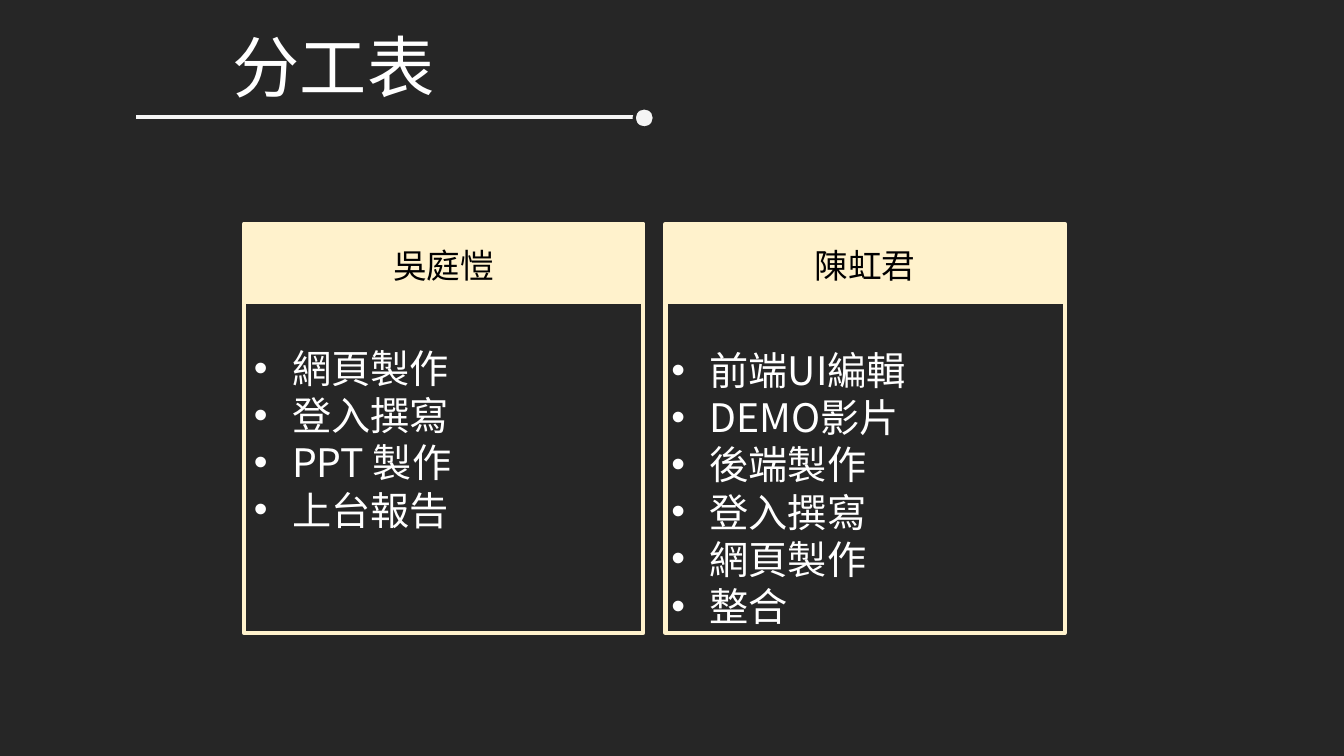
from lxml.etree import SubElement
from pptx import Presentation
from pptx.dml.color import RGBColor
from pptx.enum.shapes import MSO_CONNECTOR, MSO_SHAPE
from pptx.enum.text import MSO_ANCHOR, MSO_AUTO_SIZE, PP_ALIGN
from pptx.oxml.ns import qn
from pptx.util import Inches, Pt

DARK = RGBColor(0x26, 0x26, 0x26)
PALE = RGBColor(0xF5, 0xF5, 0xF5)
CREAM = RGBColor(0xFF, 0xF2, 0xCC)
WHITE = RGBColor(0xFF, 0xFF, 0xFF)
BLACK = RGBColor(0, 0, 0)
FACE = "Noto Sans CJK SC"

WIDE, GAP = 3.96, 0.22
TEAM = [
    ("吳庭愷", ["網頁製作", "登入撰寫", "PPT 製作", "上台報告"], (0, 1.15, 3.96, 3.4)),
    ("陳虹君", ["前端UI編輯", "DEMO影片", "後端製作", "登入撰寫", "網頁製作", "整合"],
     (-0.04, 1.17, 3.8, 3.74)),
]


def write(para, text, size, color):
    """Add one run of text in the slide's font."""
    run = para.add_run()
    run.text = text
    run.font.size = Pt(size)
    run.font.color.rgb = color
    run.font.name = FACE
    SubElement(run.font._element, qn("a:ea"), typeface=FACE)


def shape(slide, kind, box, fill, line, width):
    """Add a flat shape; no fill colour leaves it hollow."""
    item = slide.shapes.add_shape(kind, *map(Inches, box))
    item.shadow.inherit = False
    if fill is None:
        item.fill.background()
    else:
        item.fill.solid()
        item.fill.fore_color.rgb = fill
    item.line.color.rgb = line
    item.line.width = Pt(width)
    return item


def label(slide, box, wrap):
    """Add an empty text box and return its frame."""
    frame = slide.shapes.add_textbox(*map(Inches, box)).text_frame
    frame.word_wrap = wrap
    frame.auto_size = MSO_AUTO_SIZE.SHAPE_TO_FIT_TEXT
    return frame


def title(slide, left, top, width, text):
    """Place the heading above a rule that ends in a dot."""
    frame = label(slide, (left + 0.86, top, 2.22, 0.91), False)
    write(frame.paragraphs[0], text, 48, WHITE)
    base, end = top + 0.96, left + width
    rule = slide.shapes.add_connector(
        MSO_CONNECTOR.STRAIGHT, *map(Inches, (left, base, end, base)))
    rule.line.color.rgb = PALE
    rule.line.width = Pt(3)
    SubElement(rule._element.spPr, qn("a:effectLst"))
    shape(slide, MSO_SHAPE.OVAL, (end - 0.18, base - 0.09, 0.2, 0.2), PALE, DARK, 2.25)


def card(slide, left, top, name, tasks, inner):
    """Place a framed card with a name band and a bulleted task list."""
    shape(slide, MSO_SHAPE.RECTANGLE, (left, top, WIDE, 4.06), None, CREAM, 3)
    band = shape(slide, MSO_SHAPE.RECTANGLE, (left, top + 0.02, WIDE, 0.77), CREAM, CREAM, 1)
    band.text_frame.vertical_anchor = MSO_ANCHOR.MIDDLE
    head = band.text_frame.paragraphs[0]
    head.alignment = PP_ALIGN.CENTER
    write(head, name, 24, BLACK)
    x, y, width, height = inner
    frame = label(slide, (left + x, top + y, width, height), True)
    for i, task in enumerate(tasks):
        para = frame.add_paragraph() if i else frame.paragraphs[0]
        props = para._p.get_or_add_pPr()
        props.set("marL", str(Inches(0.38)))
        props.set("indent", str(-Inches(0.38)))
        SubElement(props, qn("a:buFont"), typeface="Arial")
        SubElement(props, qn("a:buChar"), char="•")
        write(para, task, 28, WHITE)


def main():
    """Build and save the slide."""
    deck = Presentation()
    deck.slide_width, deck.slide_height = Inches(13.33), Inches(7.5)
    slide = deck.slides.add_slide(deck.slide_layouts[6])
    slide.background.fill.solid()
    slide.background.fill.fore_color.rgb = DARK
    title(slide, 1.35, 0.2, 5.12, "分工表")
    for i, (name, tasks, inner) in enumerate(TEAM):
        card(slide, 2.42 + i * (WIDE + GAP), 2.22, name, tasks, inner)
    deck.save("out.pptx")


if __name__ == "__main__":
    main()
